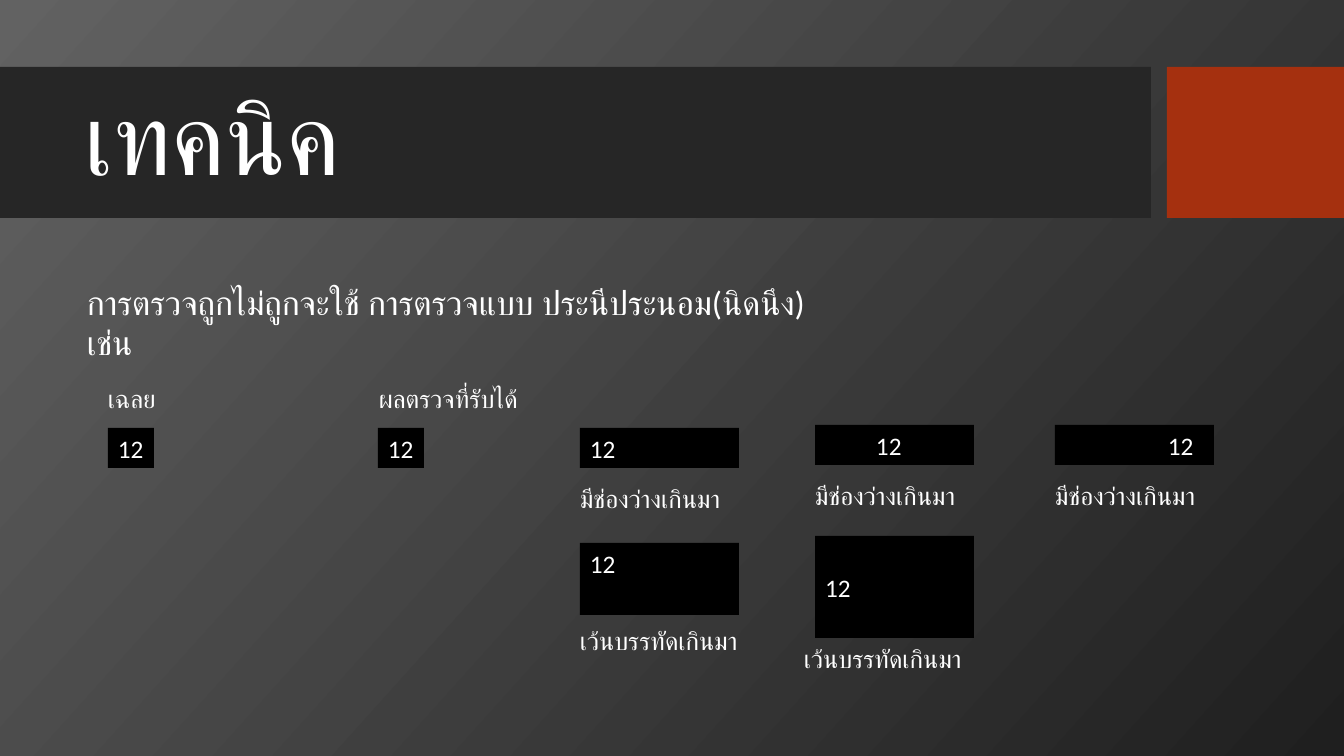
import pptx
import pptx.util
import pptx.dml.color
import pptx.enum.shapes
import pptx.enum.text

PX = 914400 / 100.8
SLIDE = (1344, 756)
COLORS = {"light": "626262", "dark": "1F1F1F", "band": "262626",
          "accent": "A5300F", "answer": "000000", "text": "FFFFFF"}
TOP = pptx.enum.text.MSO_ANCHOR.TOP
MIDDLE = pptx.enum.text.MSO_ANCHOR.MIDDLE

TITLE = "เทคนิค"
INTRO = ["การตรวจถูกไม่ถูกจะใช้ การตรวจแบบ ประนีประนอม(นิดนึง)", "เช่น"]
ANSWER = "12"
EXTRA_SPACE = "มีช่องว่างเกินมา"
EXTRA_LINE = "เว้นบรรทัดเกินมา"
BANDS = [("band", (0, 67, 1151, 151)), ("accent", (1167, 67, 177, 151))]
EXAMPLES = [
    ((108, 428, 46, 40), 0, TOP, "เฉลย", (98, 378)),
    ((378, 428, 46, 40), 0, TOP, "ผลตรวจที่รับได้", (369, 378)),
    ((580, 428, 159, 40), 0, TOP, EXTRA_SPACE, (570, 478)),
    ((815, 425, 159, 40), 51, TOP, EXTRA_SPACE, (805, 475)),
    ((1055, 425, 159, 40), 103, TOP, EXTRA_SPACE, (1045, 475)),
    ((580, 543, 159, 72), 0, TOP, EXTRA_LINE, (570, 620)),
    ((815, 536, 159, 102), 0, MIDDLE, EXTRA_LINE, (794, 638)),
]
LABEL_SIZE = (202, 40)


def px(length):
    return pptx.util.Emu(round(length * PX))


def rgb(name):
    return pptx.dml.color.RGBColor.from_string(COLORS[name])


def add_rectangle(slide, box, color):
    rectangle = slide.shapes.add_shape(
        pptx.enum.shapes.MSO_SHAPE.RECTANGLE, *map(px, box))
    rectangle.shadow.inherit = False
    rectangle.fill.solid()
    rectangle.fill.fore_color.rgb = rgb(color)
    rectangle.line.fill.background()
    return rectangle


def write(frame, lines, size, anchor=TOP, spacing=1.0):
    frame.word_wrap = True
    frame.vertical_anchor = anchor
    frame.text = "\n".join(lines)
    for paragraph in frame.paragraphs:
        paragraph.alignment = pptx.enum.text.PP_ALIGN.LEFT
        paragraph.line_spacing = spacing
        font = paragraph.runs[0].font
        for key, value in {"name": "Calibri", "size": pptx.util.Pt(size)}.items():
            setattr(font, key, value)
        font.color.rgb = rgb("text")


def add_text(slide, box, lines, size, **style):
    write(slide.shapes.add_textbox(*map(px, box)).text_frame, lines, size, **style)


def main():
    deck = pptx.Presentation()
    deck.slide_width, deck.slide_height = map(px, SLIDE)
    slide = deck.slides.add_slide(deck.slide_layouts[6])

    backdrop = slide.background.fill
    backdrop.gradient()
    backdrop.gradient_angle = 318
    for stop, color in zip(backdrop.gradient_stops, ("light", "dark")):
        stop.color.rgb = rgb(color)

    for color, box in BANDS:
        add_rectangle(slide, box, color)
    add_text(slide, (75, 83, 1059, 119), [TITLE], 72, anchor=MIDDLE, spacing=0.9)
    add_text(slide, (77, 277, 1168, 92), INTRO, 24)

    for box, indent, anchor, label, corner in EXAMPLES:
        frame = add_rectangle(slide, box, "answer").text_frame
        write(frame, [ANSWER], 18, anchor=anchor)
        frame.margin_left = px(10 + indent)
        frame.margin_right = 0
        add_text(slide, corner + LABEL_SIZE, [label], 18)

    deck.save("out.pptx")


if __name__ == "__main__":
    main()
